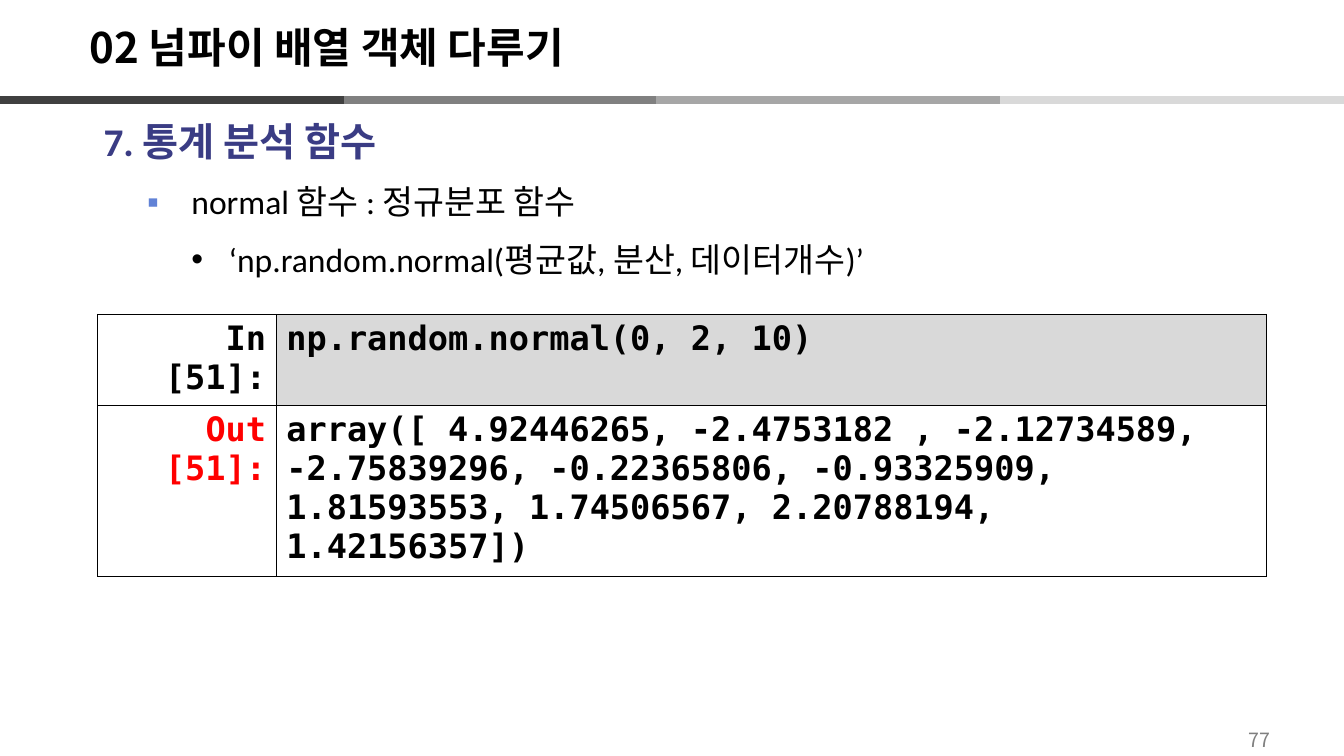
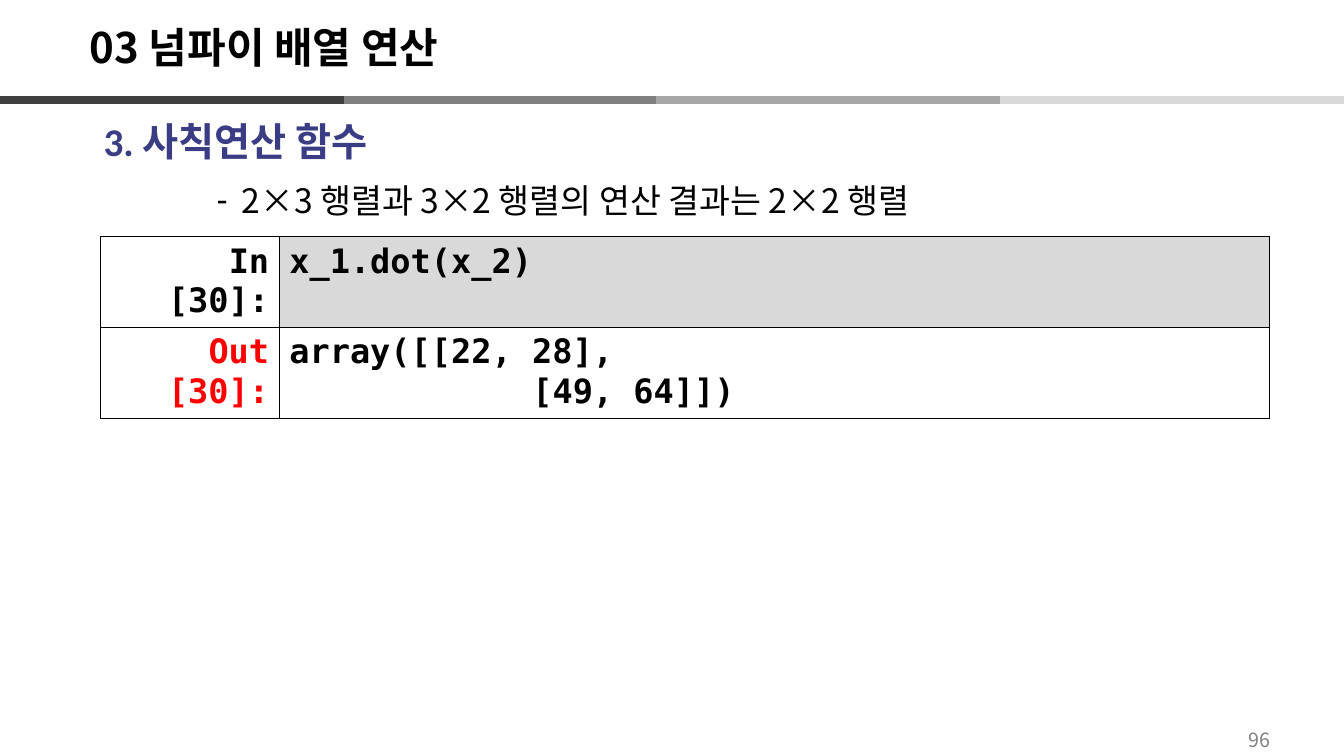
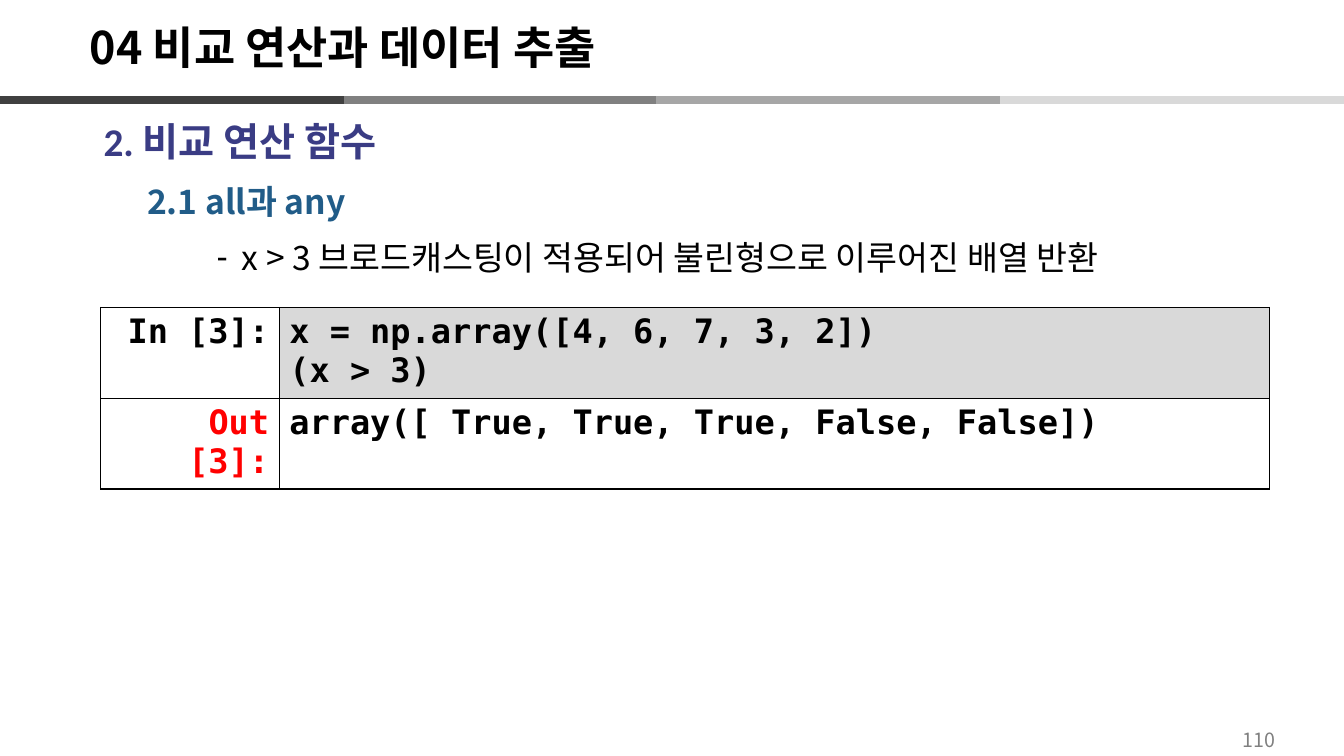
import pptx
import pptx.dml.color
import pptx.enum.shapes
import pptx.enum.text
import pptx.oxml
import pptx.oxml.ns
import pptx.util
from lxml import etree

RGB = pptx.dml.color.RGBColor
Inches = pptx.util.Inches
Pt = pptx.util.Pt
qn = pptx.oxml.ns.qn
ALIGN = pptx.enum.text.PP_ALIGN
ANCHOR = pptx.enum.text.MSO_ANCHOR

BLACK = RGB(0x00, 0x00, 0x00)
WHITE = RGB(0xFF, 0xFF, 0xFF)
RED = RGB(0xFF, 0x00, 0x00)
GRAY = RGB(0x80, 0x80, 0x80)
PALE = RGB(0xD9, 0xD9, 0xD9)
NAVY = RGB(0x3A, 0x3C, 0x84)
TEAL = RGB(0x21, 0x5C, 0x88)
BLUE = RGB(0x61, 0x82, 0xD6)
BANDS = [RGB(0x40, 0x40, 0x40), GRAY, RGB(0xA6, 0xA6, 0xA6), PALE]

SANS = "Noto Sans CJK KR"
LATIN = "Calibri"
MONO = "DejaVu Sans Mono"

WIDE, HIGH = 13.33, 7.5
SPAN = 3.41
COLS = (1.77, 9.82)
LINE, PAD = 0.39, 0.1

# Paragraph styles of the outline
HEAD = dict(size=28, font=LATIN, color=NAVY, bold=True, left=0.38, before=7.7)
SUB = dict(color=TEAL, bold=True, left=0.81, before=4.8)
ITEM = dict(font=LATIN, left=1.25, hang=0.44, before=4.8, mark="▪", tint=BLUE)
POINT = dict(font=LATIN, left=1.62, hang=0.37, before=4.8, mark="•")
DASH = dict(left=1.75, hang=0.25, before=3.8, mark="‐")


def write(para, text, size=24, font=SANS, color=BLACK, bold=False,
          align=ALIGN.LEFT, space=1.0, before=0, left=0, hang=0,
          mark=None, tint=BLACK):
    """Fill one paragraph with one formatted run."""
    para.alignment = align
    para.line_spacing = space
    para.space_before = Pt(before)
    props = para._p.get_or_add_pPr()
    props.set("marL", str(Inches(left)))
    props.set("indent", str(-Inches(hang)))
    if mark:
        hue = etree.SubElement(props, qn("a:buClr"))
        etree.SubElement(hue, qn("a:srgbClr"), val=str(tint))
        etree.SubElement(props, qn("a:buFont"), typeface="Arial")
        etree.SubElement(props, qn("a:buChar"), char=mark)
    else:
        etree.SubElement(props, qn("a:buNone"))
    run = para.add_run()
    run.text = text
    face = run.font
    face.size, face.bold, face.name = Pt(size), bold, font
    face.color.rgb = color
    east = etree.SubElement(run._r.get_or_add_rPr(), qn("a:ea"))
    east.set("typeface", SANS)


def fill_frame(frame, lines):
    """Write (text, format) pairs, one paragraph each."""
    for n, (text, style) in enumerate(lines):
        para = frame.add_paragraph() if n else frame.paragraphs[0]
        write(para, text, **style)


def add_box(slide, box, lines, anchor=ANCHOR.TOP):
    frame = slide.shapes.add_textbox(*map(Inches, box)).text_frame
    frame.word_wrap = True
    frame.vertical_anchor = anchor
    fill_frame(frame, lines)


def add_bands(slide, top):
    """Rule of four grays; the darkest overlaps its neighbour."""
    kind = pptx.enum.shapes.MSO_CONNECTOR.STRAIGHT
    count = len(BANDS)
    for n in reversed(range(count)):
        start = max(0, WIDE - (count - n) * SPAN)
        ends = map(Inches, (start, top, start + SPAN, top))
        band = slide.shapes.add_connector(kind, *ends)
        band.line.color.rgb = BANDS[n]
        band.line.width = Pt(6)
        etree.SubElement(band._element.spPr, qn("a:effectLst"))


def add_title(slide, box, text, size):
    title = slide.shapes.title
    title.left, title.top, title.width, title.height = map(Inches, box)
    frame = title.text_frame
    frame.auto_size = pptx.enum.text.MSO_AUTO_SIZE.NONE
    frame.vertical_anchor = ANCHOR.MIDDLE
    write(frame.paragraphs[0], text, size=size, bold=True, space=0.9)


def draw_edges(cell):
    props = cell._tc.get_or_add_tcPr()
    for side in "LRTB":
        edge = etree.SubElement(props, qn("a:ln" + side), w=str(Pt(1)))
        fill = etree.SubElement(edge, qn("a:solidFill"))
        etree.SubElement(fill, qn("a:srgbClr"), val=str(BLACK))


def add_code(slide, left, top, count, code, result, sizes=(2, 2)):
    """Input and output cells; sizes are row heights in text lines."""
    highs = [LINE * n + PAD for n in sizes]
    box = map(Inches, (left, top, sum(COLS), sum(highs)))
    table = slide.shapes.add_table(2, 2, *box).table
    table.first_row = table.horz_banding = False
    for col, width in zip(table.columns, COLS):
        col.width = Inches(width)
    rows = [("In", BLACK, PALE, code), ("Out", RED, WHITE, result)]
    mono = dict(font=MONO, bold=True)
    for r, (name, color, shade, lines) in enumerate(rows):
        table.rows[r].height = Inches(highs[r])
        label = (f"{name} [{count}]:", dict(mono, color=color, align=ALIGN.RIGHT))
        body = [(text, dict(mono, left=shift)) for text, shift in lines]
        for c, (texts, back) in enumerate([([label], WHITE), (body, shade)]):
            cell = table.cell(r, c)
            draw_edges(cell)
            cell.fill.solid()
            cell.fill.fore_color.rgb = back
            fill_frame(cell.text_frame, texts)


def add_page(deck, number, title, lines, code, size=30):
    slide = deck.slides.add_slide(deck.slide_layouts.get_by_name("Title Only"))
    add_bands(slide, 0.99)
    note = (str(number), dict(size=14, color=GRAY, align=ALIGN.CENTER))
    add_box(slide, (12.02, 7.14, 0.94, 0.39), [note], ANCHOR.MIDDLE)
    outline = [(text, dict(style, space=1.25)) for text, style in lines]
    add_box(slide, (0.55, 1, 12.49, 5.85), outline)
    add_title(slide, (0.79, 0.2, 9.97, 0.6), title, size)
    add_code(slide, **code)


PAGES = [
    dict(number=77, title="02 넘파이 배열 객체 다루기",
         lines=[("7. 통계 분석 함수", HEAD),
                ("normal 함수 : 정규분포 함수", ITEM),
                ("‘np.random.normal(평균값, 분산, 데이터개수)’", POINT)],
         code=dict(left=0.97, top=3.12, count=51, sizes=(2, 4),
                   code=[("np.random.normal(0, 2, 10)", 0)],
                   result=[("array([ 4.92446265, -2.4753182 , -2.12734589, "
                            "-2.75839296, -0.22365806, -0.93325909, "
                            "1.81593553, 1.74506567, 2.20788194, "
                            "1.42156357])", 0)])),
    dict(number=96, title="03 넘파이 배열 연산",
         lines=[("3. 사칙연산 함수", HEAD),
                ("2×3 행렬과 3×2 행렬의 연산 결과는 2×2 행렬", DASH)],
         code=dict(left=1, top=2.35, count=30,
                   code=[("x_1.dot(x_2)", 0)],
                   result=[("array([[22, 28],", 0), ("[49, 64]])", 2.41)])),
    dict(number=110, title="04 비교 연산과 데이터 추출", size=32,
         lines=[("2. 비교 연산 함수", HEAD),
                ("2.1 all과 any", SUB),
                ("x > 3 브로드캐스팅이 적용되어 불린형으로 이루어진 배열 반환", DASH)],
         code=dict(left=1, top=3.05, count=3,
                   code=[("x = np.array([4, 6, 7, 3, 2])", 0), ("(x > 3)", 0)],
                   result=[("array([ True, True, True, False, False])", 0)])),
]


def main():
    deck = pptx.Presentation()
    deck.slide_width, deck.slide_height = Inches(WIDE), Inches(HIGH)
    for page in PAGES:
        add_page(deck, **page)
    deck.save("out.pptx")


if __name__ == "__main__":
    main()
